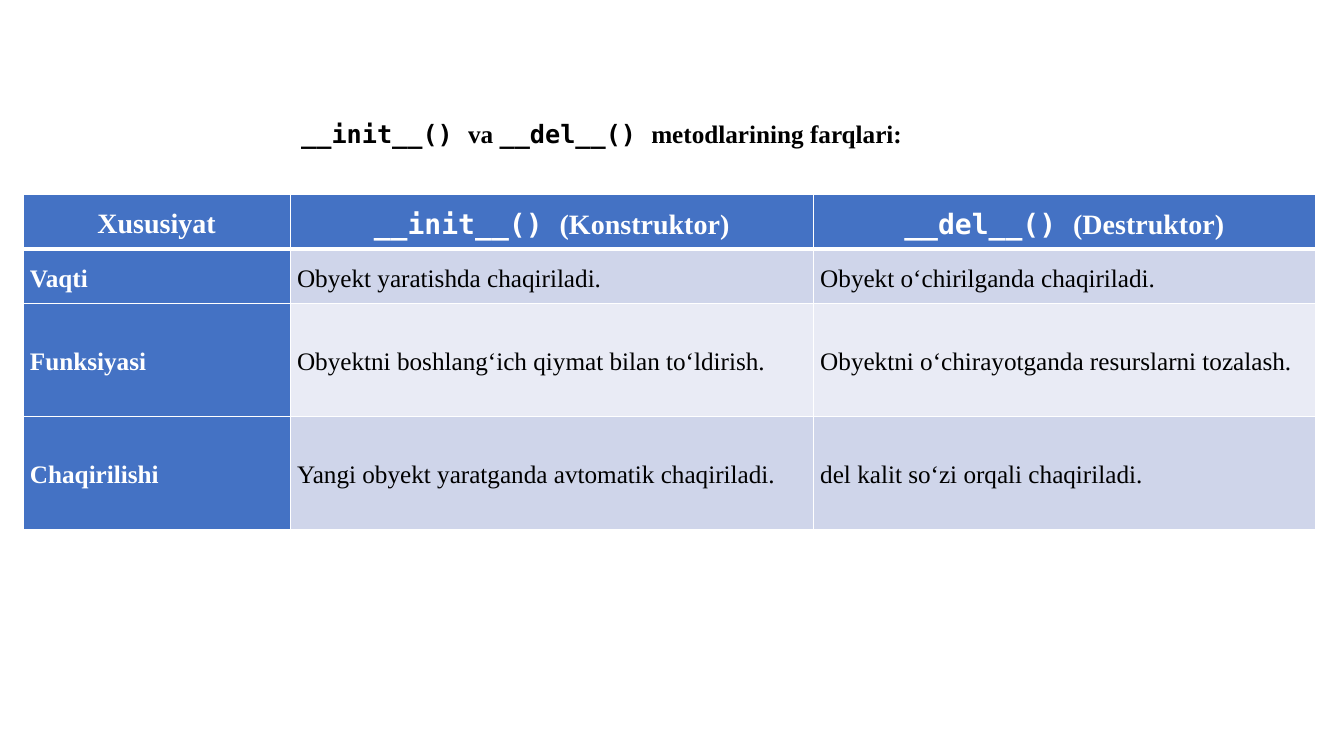
from dataclasses import dataclass

from lxml import etree
from pptx import Presentation
from pptx.dml.color import RGBColor
from pptx.enum.text import MSO_ANCHOR, MSO_AUTO_SIZE, PP_ALIGN
from pptx.oxml.ns import qn
from pptx.util import Pt

MIDDLE = MSO_ANCHOR.MIDDLE
GROW = MSO_AUTO_SIZE.SHAPE_TO_FIT_TEXT
LEFT, CENTER = PP_ALIGN.LEFT, PP_ALIGN.CENTER

SERIF = "Times New Roman"
MONO = "DejaVu Sans Mono"
COLORS = {
    "white": "FFFFFF",
    "black": "000000",
    "header": "4472C4",
    "odd_row": "CFD5EA",
    "even_row": "E9EBF5",
}
COLUMN_WIDTHS = (190.8, 373.7, 358.6)
ROW_HEIGHTS = (38.9, 38.9, 80.6, 80.6)
CELL_PADDING = 5
THIN, THICK = 1, 3


@dataclass(frozen=True)
class Run:
    text: str
    font: str = SERIF


@dataclass(frozen=True)
class Row:
    cells: tuple[tuple[Run, ...], ...]


TITLE = (
    Run("__init__() ", MONO),
    Run("va "),
    Run("__del__() ", MONO),
    Run("metodlarining farqlari:"),
)
ROWS = (
    Row((
        (Run("Xususiyat"),),
        (Run("__init__() ", MONO), Run("(Konstruktor)")),
        (Run("__del__() ", MONO), Run("(Destruktor)")),
    )),
    Row((
        (Run("Vaqti"),),
        (Run("Obyekt yaratishda chaqiriladi."),),
        (Run("Obyekt o‘chirilganda chaqiriladi."),),
    )),
    Row((
        (Run("Funksiyasi"),),
        (Run("Obyektni boshlang‘ich qiymat bilan to‘ldirish."),),
        (Run("Obyektni o‘chirayotganda resurslarni tozalash."),),
    )),
    Row((
        (Run("Chaqirilishi"),),
        (Run("Yangi obyekt yaratganda avtomatik chaqiriladi."),),
        (Run("del kalit so‘zi orqali chaqiriladi."),),
    )),
)


def write_text(text_frame, runs: tuple[Run, ...], *, size: float = 18,
               color: str = "black", bold: bool = False,
               align: PP_ALIGN = LEFT, line_spacing: float = 1.0) -> None:
    paragraph = text_frame.paragraphs[0]
    paragraph.alignment = align
    paragraph.line_spacing = line_spacing
    for part in runs:
        run = paragraph.add_run()
        run.text = part.text
        run.font.name = part.font
        run.font.size = Pt(size)
        run.font.bold = bold
        run.font.color.rgb = RGBColor.from_string(COLORS[color])


def set_borders(cell, top: float, bottom: float) -> None:
    """Draw white borders, which must precede the fill in the cell's XML."""
    properties = cell._tc.get_or_add_tcPr()
    widths = {"a:lnL": THIN, "a:lnR": THIN, "a:lnT": top, "a:lnB": bottom}
    for index, (tag, width) in enumerate(widths.items()):
        line = etree.Element(qn(tag), w=str(Pt(width)))
        fill = etree.SubElement(line, qn("a:solidFill"))
        etree.SubElement(fill, qn("a:srgbClr"), val=COLORS["white"])
        properties.insert(index, line)


def format_cell(cell, row: int, column: int) -> None:
    if row == 0 or column == 0:
        fill = "header"
    else:
        fill = "odd_row" if row % 2 else "even_row"
    cell.fill.solid()
    cell.fill.fore_color.rgb = RGBColor.from_string(COLORS[fill])
    cell.vertical_anchor = MIDDLE
    cell.margin_left = cell.margin_right = Pt(CELL_PADDING)
    cell.margin_top = cell.margin_bottom = Pt(0)
    set_borders(cell, top=THICK if row == 1 else THIN,
                bottom=THICK if row == 0 else THIN)


def add_comparison_table(slide) -> None:
    table = slide.shapes.add_table(
        len(ROWS), len(COLUMN_WIDTHS), Pt(16.4), Pt(139.2),
        Pt(sum(COLUMN_WIDTHS)), Pt(sum(ROW_HEIGHTS))).table
    for column, width in zip(table.columns, COLUMN_WIDTHS):
        column.width = Pt(width)
    for row, height in zip(table.rows, ROW_HEIGHTS):
        row.height = Pt(height)
    for row_index, row in enumerate(ROWS):
        is_header = row_index == 0
        for column_index, runs in enumerate(row.cells):
            heading = is_header or column_index == 0
            cell = table.cell(row_index, column_index)
            format_cell(cell, row_index, column_index)
            write_text(cell.text_frame, runs, size=20 if is_header else 18,
                       color="white" if heading else "black", bold=heading,
                       align=CENTER if is_header else LEFT, line_spacing=1.15)


def add_title(slide) -> None:
    shape = slide.shapes.add_textbox(Pt(208.1), Pt(80.6), Pt(544.3), Pt(29))
    text_frame = shape.text_frame
    text_frame.word_wrap = True
    text_frame.auto_size = GROW
    text_frame.vertical_anchor = MIDDLE
    write_text(text_frame, TITLE, bold=True)


def main() -> None:
    presentation = Presentation()
    presentation.slide_width = Pt(960)
    presentation.slide_height = Pt(540)
    slide = presentation.slides.add_slide(presentation.slide_layouts[6])
    add_comparison_table(slide)
    add_title(slide)
    presentation.save("out.pptx")


if __name__ == "__main__":
    main()
